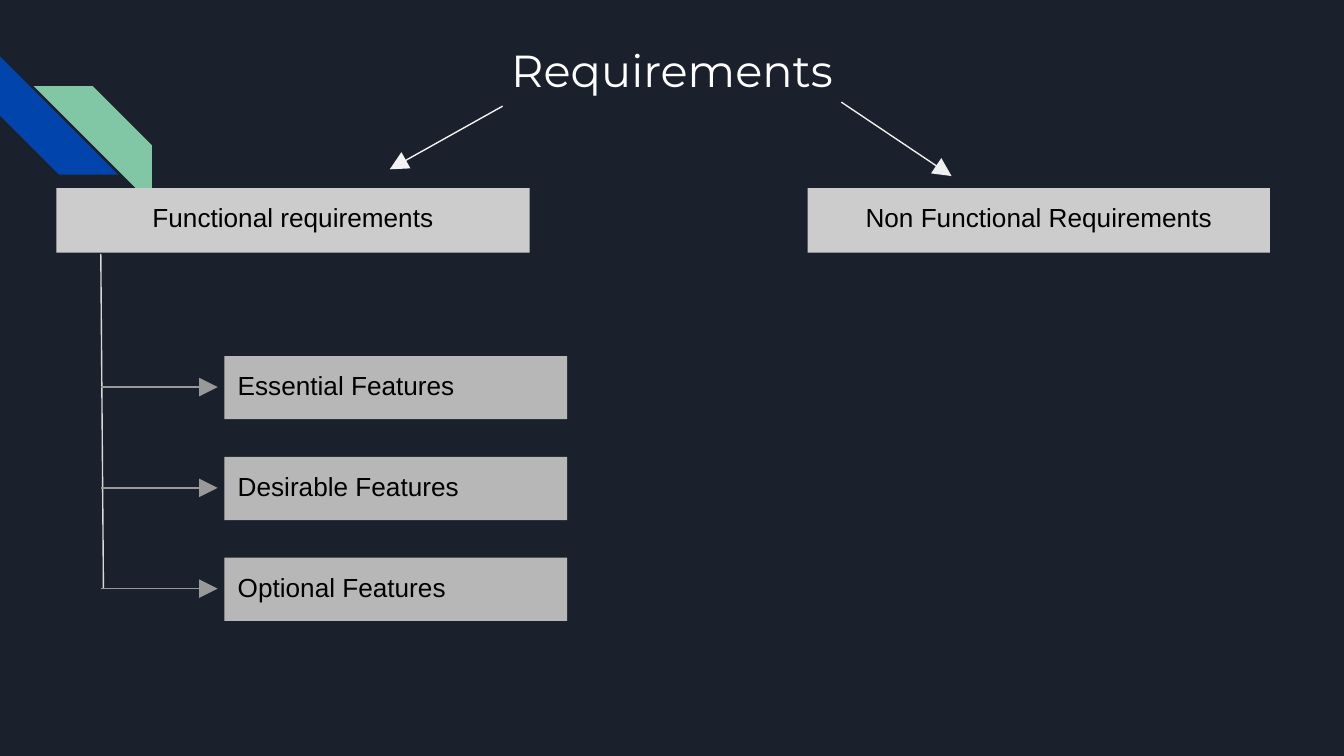
from pptx import Presentation
from pptx.dml.color import RGBColor
from pptx.enum.shapes import MSO_CONNECTOR, MSO_SHAPE
from pptx.enum.text import MSO_ANCHOR, PP_ALIGN
from pptx.oxml.ns import qn
from pptx.util import Inches, Pt
from lxml import etree

STRAIGHT = MSO_CONNECTOR.STRAIGHT
RECTANGLE = MSO_SHAPE.RECTANGLE
STRIPE = MSO_SHAPE.DIAGONAL_STRIPE
TOP = MSO_ANCHOR.TOP
LEFT, CENTER = PP_ALIGN.LEFT, PP_ALIGN.CENTER
TITLE_ONLY = 5

COLORS = {
    "background": "1B212C",
    "blue": "0145AC",
    "green": "82C7A5",
    "white": "FFFFFF",
    "black": "000000",
    "category": "CCCCCC",
    "feature": "B7B7B7",
    "left_arrow": "F3F3F3",
    "right_arrow": "EFEFEF",
    "trunk": "D9D9D9",
    "branch": "999999",
}


def color(name):
    return RGBColor.from_string(COLORS[name])


def write_text(frame, text, size, font, color_name, align):
    frame.word_wrap = True
    frame.vertical_anchor = TOP
    frame.margin_left = frame.margin_right = Inches(0.1)
    frame.margin_top = frame.margin_bottom = Inches(0.1)
    paragraph = frame.paragraphs[0]
    paragraph.alignment = align
    run = paragraph.add_run()
    run.text = text
    run.font.size = Pt(size)
    run.font.name = font
    run.font.color.rgb = color(color_name)


def add_filled(slide, kind, left, top, width, height, fill):
    shape = slide.shapes.add_shape(
        kind, Inches(left), Inches(top), Inches(width), Inches(height))
    shape.shadow.inherit = False
    shape.fill.solid()
    shape.fill.fore_color.rgb = color(fill)
    shape.line.fill.background()
    return shape


def add_box(slide, text, left, top, width, height, fill, align):
    box = add_filled(slide, RECTANGLE, left, top, width, height, fill)
    write_text(box.text_frame, text, 14, "Arial", "black", align)


def add_line(slide, start, end, line_color, arrow=True):
    line = slide.shapes.add_connector(
        STRAIGHT, *(Inches(value) for value in (*start, *end)))
    line.line.width = Pt(0.75)
    line.line.color.rgb = color(line_color)
    if arrow:
        outline = line._element.spPr.find(qn("a:ln"))
        etree.SubElement(outline, qn("a:tailEnd"),
                         type="triangle", w="lg", len="lg")
    etree.SubElement(line._element.spPr, qn("a:effectLst"))


def add_title(slide, text):
    title = slide.shapes.title
    title.left, title.top = Inches(0.34), Inches(0.22)
    title.width, title.height = Inches(9.32), Inches(0.63)
    write_text(title.text_frame, text, 24, "Montserrat", "white", CENTER)


def add_corner_stripes(slide):
    blue_stripe = add_filled(slide, STRIPE, 0, 0.42, 0.88, 0.88, "blue")
    blue_stripe.rotation = 270
    green_stripe = add_filled(slide, STRIPE, 0.25, 0.64, 0.88, 0.88, "green")
    green_stripe._element.spPr.find(qn("a:xfrm")).set("flipH", "1")


def add_feature_tree(slide, features):
    trunk_x, top, height, pitch = 0.75, 2.65, 0.47, 0.75
    branch_y = [2.88 + row * pitch for row in range(len(features))]
    for row, feature in enumerate(features):
        add_box(slide, feature, 1.67, top + row * pitch, 2.55, height,
                "feature", LEFT)
    add_line(slide, (trunk_x, 1.89), (0.77, branch_y[-1]), "trunk", arrow=False)
    for y in branch_y:
        add_line(slide, (trunk_x, y), (1.62, y), "branch")


def main():
    # Widescreen 16:9 page
    prs = Presentation()
    prs.slide_width = Inches(10)
    prs.slide_height = prs.slide_width * 9 // 16
    slide = prs.slides.add_slide(prs.slide_layouts[TITLE_ONLY])
    slide.background.fill.solid()
    slide.background.fill.fore_color.rgb = color("background")

    # Corner decoration and heading
    add_corner_stripes(slide)
    add_title(slide, "Requirements")

    # The two categories and the arrows from the heading
    add_box(slide, "Functional requirements", 0.42, 1.4, 3.52, 0.48,
            "category", CENTER)
    add_box(slide, "Non Functional Requirements", 6.01, 1.4, 3.44, 0.48,
            "category", CENTER)
    add_line(slide, (3.74, 0.79), (2.9, 1.26), "left_arrow")
    add_line(slide, (6.26, 0.76), (7.08, 1.31), "right_arrow")

    # Features below the functional requirements
    add_feature_tree(slide, ["Essential Features", "Desirable Features",
                             "Optional Features"])

    prs.save("out.pptx")


if __name__ == "__main__":
    main()
